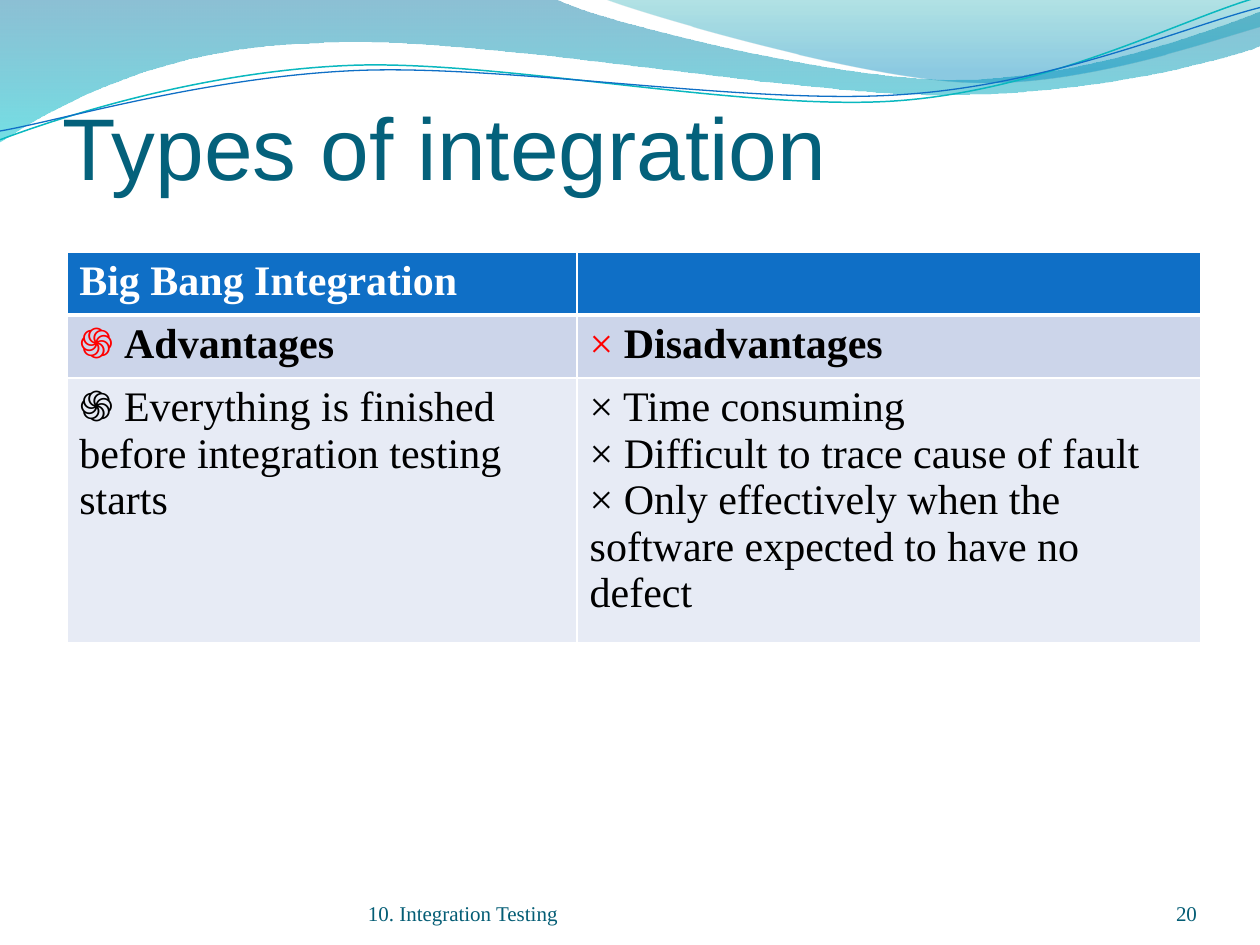
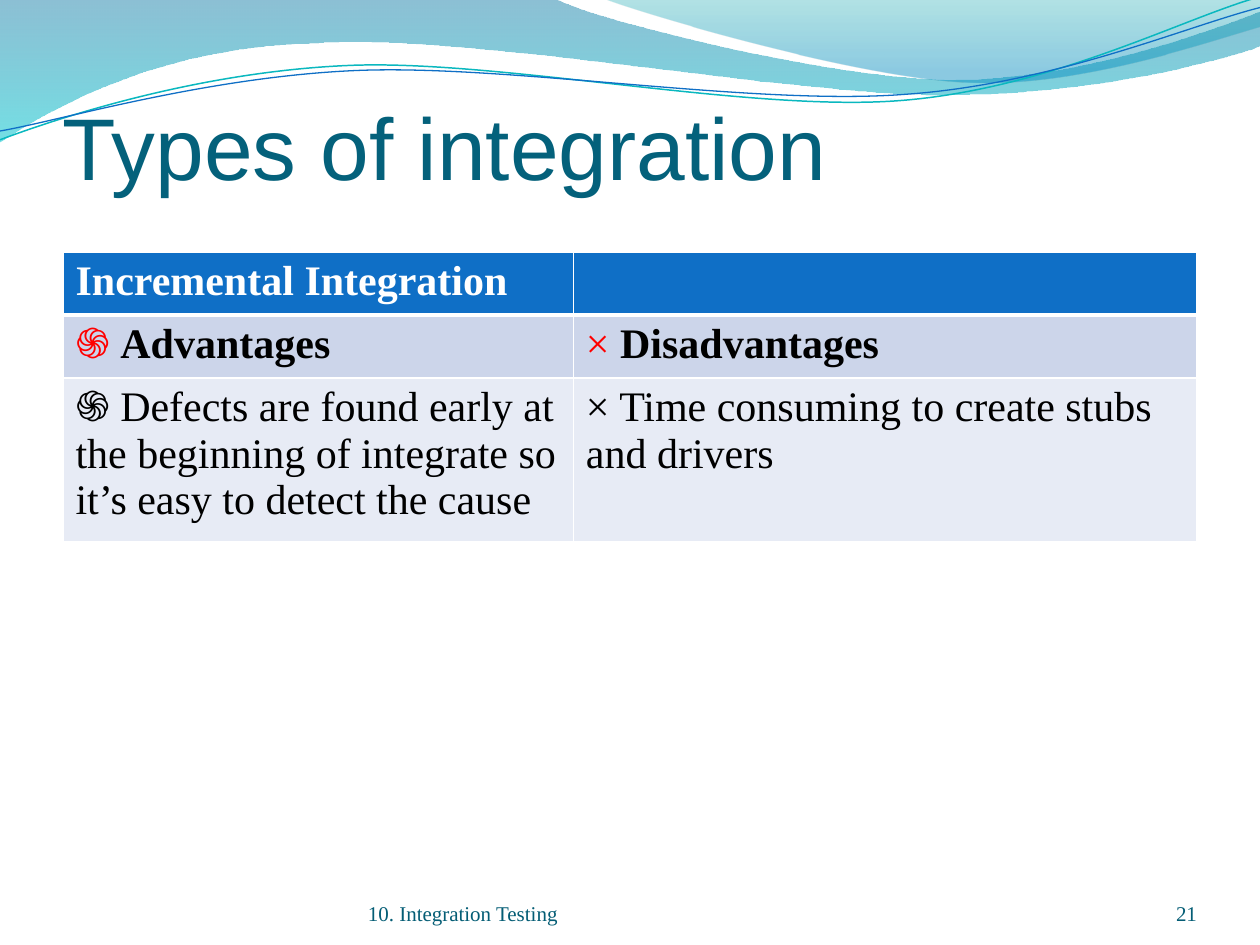
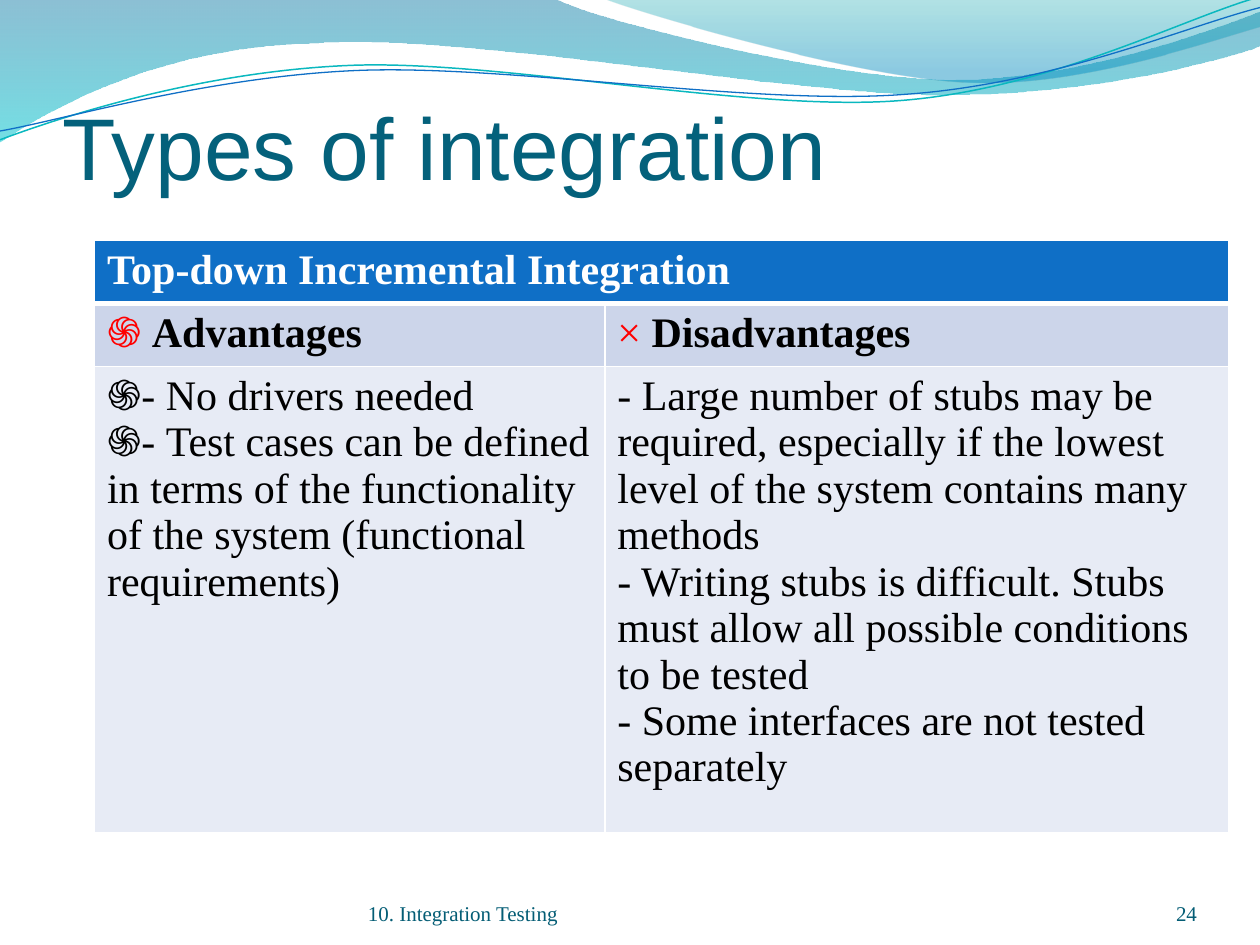
import pptx
import pptx.util
import pptx.dml.color
import pptx.enum.text
import pptx.oxml
import pptx.oxml.ns

RGB = pptx.dml.color.RGBColor
ALIGN = pptx.enum.text.PP_ALIGN
PX = 9144

WHITE = RGB(0xFF, 0xFF, 0xFF)
BLACK = RGB(0, 0, 0)
RED = RGB(0xFF, 0, 0)
BLUE = RGB(0x0F, 0x6F, 0xC6)
TEAL = RGB(0x0A, 0xB8, 0xBF)
TITLE = RGB(0x04, 0x61, 0x7B)
FOOT = RGB(0x04, 0x5D, 0x75)
MIST = RGB(0xCC, 0xD5, 0xEA)
PALE = RGB(0xE7, 0xEB, 0xF5)
DEEP = RGB(0x00, 0x74, 0xA1)
AQUA = RGB(0x00, 0xC6, 0xCF)
SEA = RGB(0x00, 0xA1, 0xA9)
SKY = RGB(0x00, 0x8B, 0xBF)

SANS = "Arial"
SERIF = "Times New Roman"

BANDS = [
    ([(0, 0), (440, -1),
      (476, 17, 664, 63, 758, 63), (853, 63, 958, 26, 1000, 9),
      (1001, 36),
      (983, 44, 870, 76, 746, 75), (622, 75, 382, 28, 257, 34),
      (129, 36, 46, 83, -1, 113), (0, 0)],
     [(0, DEEP, 45), (1, AQUA, 55)]),
    ([(479, -1),
      (509, 11, 682, 62, 769, 65), (856, 69, 961, 32, 1000, 21),
      (1000, 0), (479, -1)],
     [(0, SEA, 30), (0.8, SKY, 45)]),
]
WAVES = [
    ([(0, 111), (48, 93, 158, 57, 277, 52),
      (395, 47, 593, 89, 713, 80), (833, 71, 938, 15, 998, -2)],
     TEAL, 0.85),
    ([(0, 104), (47, 96, 164, 61, 283, 56),
      (403, 51, 597, 84, 717, 75), (836, 67, 941, 21, 1000, 6)],
     BLUE, 0.75),
]

PAGES = [
    (20, (53, 200), "Big Bang Integration", False,
     ["֍ Everything is finished before integration testing starts"],
     ["× Time consuming",
      "× Difficult to trace cause of fault",
      "× Only effectively when the software expected to have no defect"]),
    (21, (50, 200), "Incremental Integration", False,
     ["֍ Defects are found early at the beginning of integrate so it’s easy"
      " to detect the cause"],
     ["× Time consuming to create stubs and drivers"]),
    (24, (75, 191), "Top-down Incremental Integration", True,
     ["֍- No drivers needed",
      "֍- Test cases can be defined in terms of the functionality of the"
      " system (functional requirements)"],
     ["- Large number of stubs may be required, especially if the lowest"
      " level of the system contains many methods",
      "- Writing stubs is difficult. Stubs must allow all possible"
      " conditions to be tested",
      "- Some interfaces are not tested separately"]),
]


class Deck:
    def __init__(self):
        self.file = pptx.Presentation()
        self.file.slide_width = 1000 * PX
        self.file.slide_height = 750 * PX

    def page(self):
        self.slide = self.file.slides.add_slide(self.file.slide_layouts[6])

    def curve(self, knots, close):
        spots = [pair for knot in knots
                 for pair in zip(knot[::2], knot[1::2])]
        pen = self.slide.shapes.build_freeform(*spots[0], scale=PX)
        pen.add_line_segments(spots[1:], close=close)
        shape = pen.convert_to_shape()
        shape.shadow.inherit = False
        lines = iter(list(shape.element.iter(pptx.oxml.ns.qn("a:lnTo"))))
        for knot in knots[1:]:
            line = next(lines)
            if len(knot) == 6:
                bend = pptx.oxml.parse_xml(
                    f'<a:cubicBezTo {pptx.oxml.ns.nsdecls("a")}/>')
                line.addprevious(bend)
                for part in (line, next(lines), next(lines)):
                    bend.append(part[0])
                    part.getparent().remove(part)
        return shape

    def band(self, knots, stops):
        shape = self.curve(knots, True)
        shape.line.fill.background()
        shape.fill.gradient()
        shape.fill.gradient_angle = 270
        for stop, (place, color, _) in zip(shape.fill.gradient_stops, stops):
            stop.position = place
            stop.color.rgb = color
        tones = shape.element.spPr.iter(pptx.oxml.ns.qn("a:srgbClr"))
        for tone, (_, _, alpha) in zip(tones, stops):
            tone.append(pptx.oxml.parse_xml(
                f'<a:alpha {pptx.oxml.ns.nsdecls("a")} val="{alpha * 1000}"/>'))

    def wave(self, knots, color, width):
        shape = self.curve(knots, False)
        shape.fill.background()
        shape.line.color.rgb = color
        shape.line.width = pptx.util.Pt(width)

    def run(self, para, text, size, font, color, bold=False):
        run = para.add_run()
        run.text = text
        run.font.size = pptx.util.Pt(size)
        run.font.name = font
        run.font.color.rgb = color
        run.font.bold = bold

    def text(self, box, text, size, font, color, top=0, align=ALIGN.LEFT):
        frame = self.slide.shapes.add_textbox(*(n * PX for n in box)).text_frame
        frame.word_wrap = True
        frame.vertical_anchor = pptx.enum.text.MSO_ANCHOR.BOTTOM
        frame.margin_left = frame.margin_right = frame.margin_bottom = 0
        frame.margin_top = top * PX
        frame.paragraphs[0].alignment = align
        self.run(frame.paragraphs[0], text, size, font, color)

    def cell(self, cell, lines, fill, over, under):
        props = cell._tc.get_or_add_tcPr()
        for side, width in zip("LRTB", (1, 1, over, under)):
            props.append(pptx.oxml.parse_xml(
                f'<a:ln{side} {pptx.oxml.ns.nsdecls("a")} w="{width * 12700}">'
                f'<a:solidFill><a:srgbClr val="{WHITE}"/></a:solidFill>'
                f'</a:ln{side}>'))
        cell.fill.solid()
        cell.fill.fore_color.rgb = fill
        frame = cell.text_frame
        for i, line in enumerate(lines):
            para = frame.add_paragraph() if i else frame.paragraphs[0]
            for text, color, bold in line:
                self.run(para, text, 24, SERIF, color, bold)

    def table(self, place, rows, merge):
        left, top = place
        table = self.slide.shapes.add_table(
            3, 2, left * PX, top * PX, 900 * PX, 123 * PX).table
        table.horz_banding = False
        for col, width in zip(table.columns, (405, 495)):
            col.width = width * PX
        looks = [(BLUE, 1, 3), (MIST, 3, 1), (PALE, 1, 1)]
        for i, (row, look) in enumerate(zip(rows, looks)):
            for j, lines in enumerate(row):
                self.cell(table.cell(i, j), lines, *look)
        if merge:
            table.cell(0, 0).merge(table.cell(0, 1))


def main():
    deck = Deck()
    for number, place, head, merge, pros, cons in PAGES:
        deck.page()
        for band in BANDS:
            deck.band(*band)
        for wave in WAVES:
            deck.wave(*wave)
        deck.text((50, 67, 900, 90), "Types of integration", 50, SANS, TITLE,
                  top=5)
        rows = [
            [[[(head, WHITE, True)]], []],
            [[[("֍ ", RED, False), ("Advantages", BLACK, True)]],
             [[("× ", RED, False), ("Disadvantages", BLACK, True)]]],
            [[[(line, BLACK, False)] for line in side]
             for side in (pros, cons)],
        ]
        deck.table(place, rows, merge)
        deck.text((292, 695, 367, 40), "10. Integration Testing", 12, SERIF,
                  FOOT)
        deck.text((867, 695, 83, 40), str(number), 12, SERIF, FOOT,
                  align=ALIGN.RIGHT)
    deck.file.save("out.pptx")


if __name__ == "__main__":
    main()
